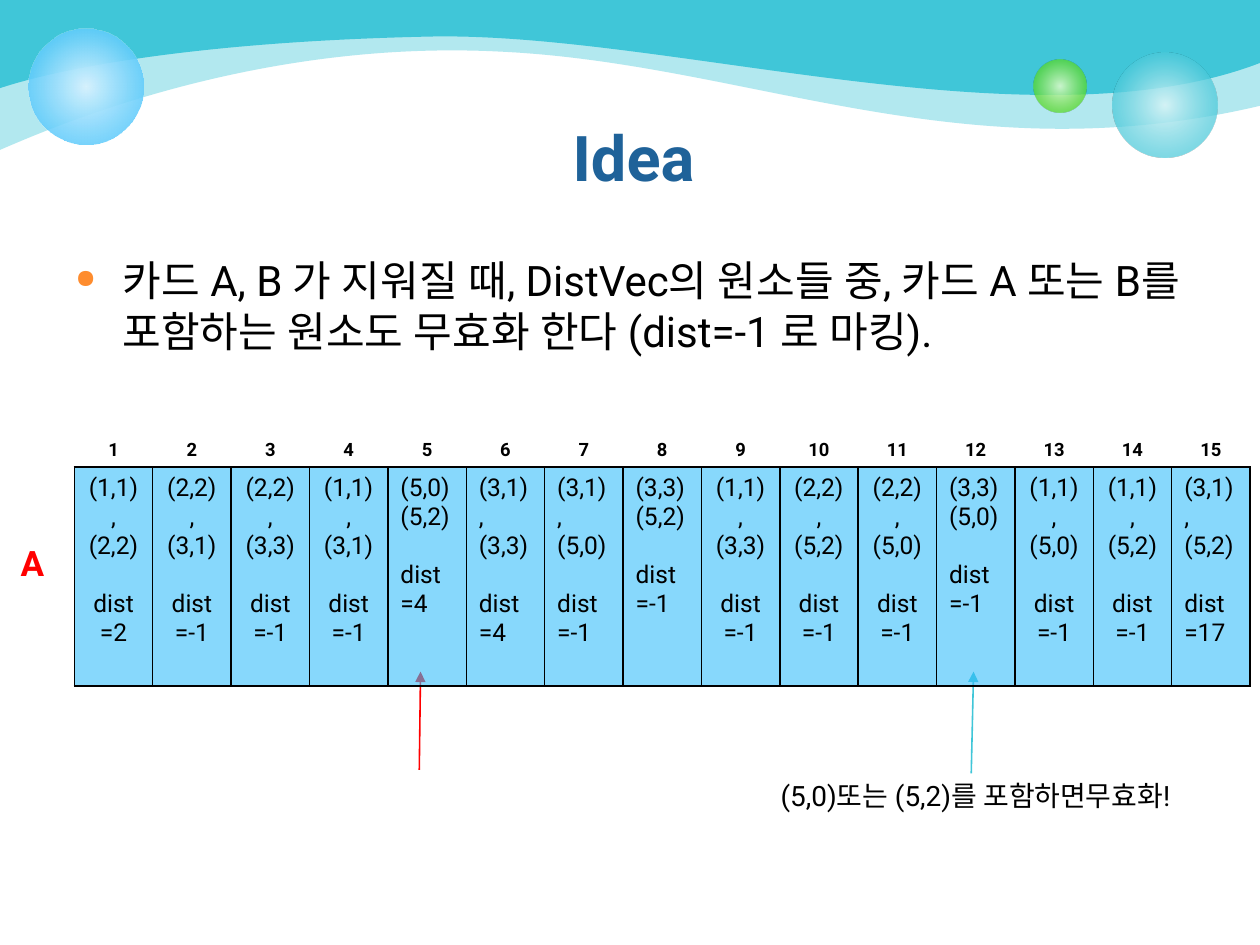
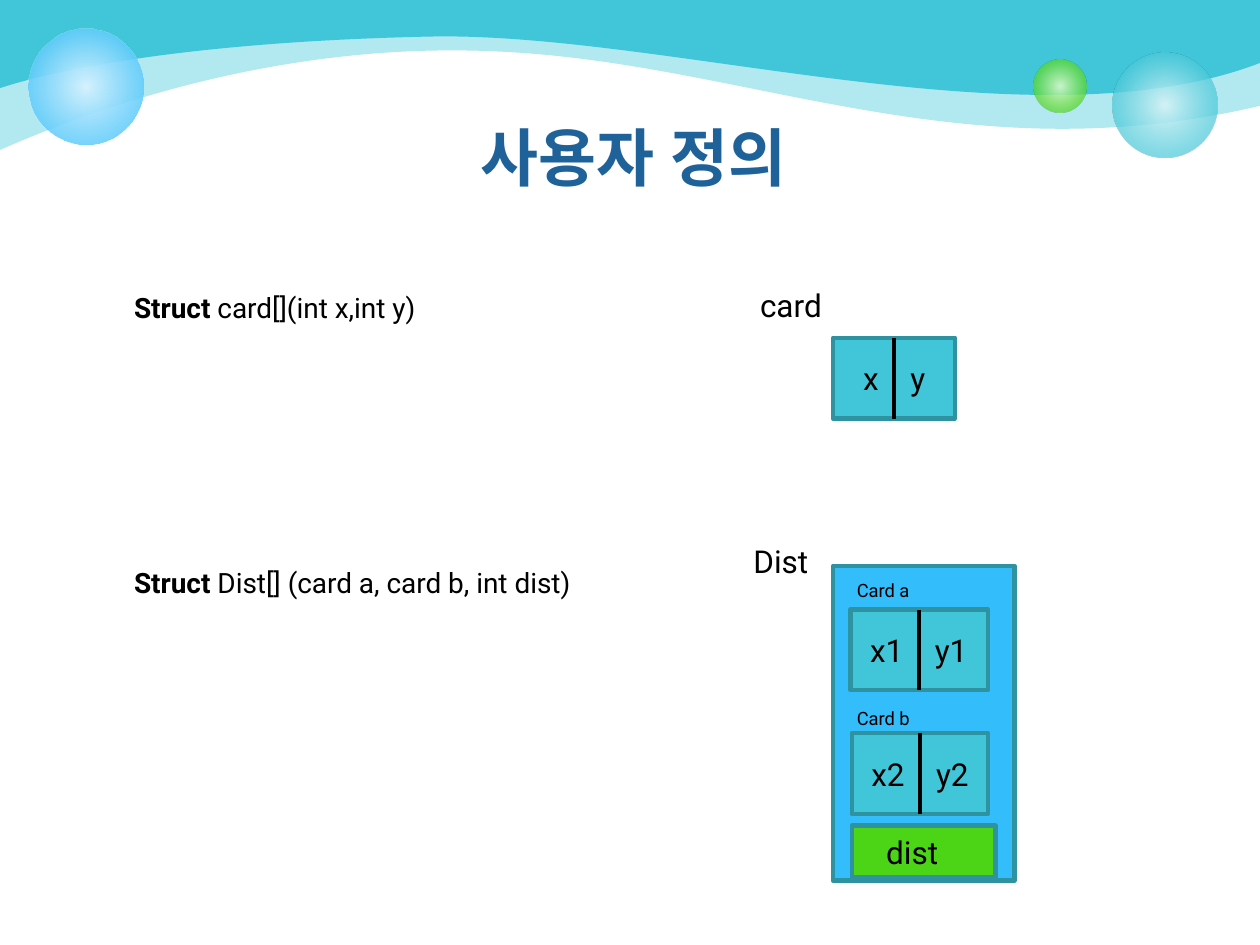
from dataclasses import dataclass
from typing import NamedTuple

from lxml import etree
from pptx import Presentation
from pptx.dml.color import RGBColor
from pptx.enum.shapes import MSO_CONNECTOR, MSO_SHAPE
from pptx.enum.text import MSO_ANCHOR, PP_ALIGN
from pptx.oxml import parse_xml
from pptx.oxml.ns import nsdecls, qn
from pptx.util import Pt

FONT = "Roboto"
BLACK = RGBColor(0x00, 0x00, 0x00)
WHITE = RGBColor(0xFF, 0xFF, 0xFF)
RED = RGBColor(0xFF, 0x00, 0x00)
NAVY = RGBColor(0x1F, 0x62, 0x99)
TEAL = RGBColor(0x40, 0xC6, 0xD8)
DARK_TEAL = RGBColor(0x2F, 0x92, 0xA0)
PALE_TEAL = RGBColor(0xD9, 0xF4, 0xF7)
SKY = RGBColor(0x33, 0xBD, 0xFB)
PALE_SKY = RGBColor(0xD6, 0xF2, 0xFE)
GREEN = RGBColor(0x4C, 0xD4, 0x16)
PALE_GREEN = RGBColor(0xDA, 0xFA, 0xCD)
ORANGE = RGBColor(0xFE, 0x8C, 0x2E)
CENTER, LEFT = PP_ALIGN.CENTER, PP_ALIGN.LEFT
TOP, MIDDLE, BOTTOM = MSO_ANCHOR.TOP, MSO_ANCHOR.MIDDLE, MSO_ANCHOR.BOTTOM
RECTANGLE, OVAL = MSO_SHAPE.RECTANGLE, MSO_SHAPE.OVAL
STRAIGHT = MSO_CONNECTOR.STRAIGHT
TITLE_ONLY = 5
INSET = 7.2

Point = tuple[float, float]


class Wave(NamedTuple):
    start: Point
    curve: list[Point]
    opacity: int


class Bubble(NamedTuple):
    left: float
    top: float
    size: float
    inner: RGBColor
    inner_opacity: int
    outer: RGBColor
    outer_opacity: int
    outer_stop: int


class Distance(NamedTuple):
    first: str
    second: str
    dist: int
    align: PP_ALIGN = CENTER


@dataclass
class Label:
    text: str
    left: float
    top: float
    width: float
    height: float
    size: float
    color: RGBColor = BLACK
    bold: bool = False
    align: PP_ALIGN = LEFT


@dataclass
class Card:
    x: str
    y: str
    left: float
    top: float
    width: float
    indent: float
    gap: float
    height: float = 46.2


WAVES = [
    Wave((0, 85.7), [(23.8, 75.6), (141.8, 22.3), (285.1, 29.5),
                     (428.4, 36), (548.6, 100.8), (720, 60.5)], 40),
    Wave((0, 50.4), [(32.4, 39.6), (110.2, 23.8), (245.5, 20.9),
                     (380.9, 18), (590.4, 85.7), (720, 36)], 100),
]
BUBBLES = [
    Bubble(635.8, 30.2, 60, PALE_TEAL, 90, TEAL, 70, 76),
    Bubble(590.4, 34, 30.4, PALE_GREEN, 90, GREEN, 70, 76),
    Bubble(16.3, 16.5, 65.8, PALE_SKY, 100, SKY, 80, 100),
]
DISTANCES = [
    Distance("(1,1),", "(2,2)", 2),
    Distance("(2,2),", "(3,1)", -1),
    Distance("(2,2),", "(3,3)", -1),
    Distance("(1,1),", "(3,1)", -1),
    Distance("(5,0)", "(5,2)", 4, LEFT),
    Distance("(3,1),", "(3,3)", 4, LEFT),
    Distance("(3,1),", "(5,0)", -1, LEFT),
    Distance("(3,3)", "(5,2)", -1, LEFT),
    Distance("(1,1),", "(3,3)", -1),
    Distance("(2,2),", "(5,2)", -1),
    Distance("(2,2),", "(5,0)", -1),
    Distance("(3,3)", "(5,0)", -1, LEFT),
    Distance("(1,1),", "(5,0)", -1),
    Distance("(1,1),", "(5,2)", -1),
    Distance("(3,1),", "(5,2)", 17, LEFT),
]


# Text and XML helpers
def set_font(paragraph, size: float, color: RGBColor = BLACK, bold: bool | None = False) -> None:
    font = paragraph.font
    font.name, font.size, font.bold = FONT, Pt(size), bold
    font.color.rgb = color
    latin = next(paragraph._p.pPr.iter(qn("a:latin")))
    latin.addnext(parse_xml(f'<a:ea {nsdecls("a")} typeface="{FONT}"/>'))


def add_paragraph_xml(paragraph, *parts: str) -> None:
    properties = paragraph._p.get_or_add_pPr()
    for position, part in enumerate(parts):
        properties.insert(position, parse_xml(part))


def set_opacity(element, percent: int) -> None:
    color = next(element.iter(qn("a:srgbClr")))
    etree.SubElement(color, qn("a:alpha")).set("val", str(percent * 1000))


def add_text_frame(slide, left: float, top: float, width: float, height: float):
    frame = slide.shapes.add_textbox(Pt(left), Pt(top), Pt(width), Pt(height)).text_frame
    frame.word_wrap = True
    return frame


def add_label(slide, label: Label) -> None:
    frame = add_text_frame(slide, label.left, label.top, label.width, label.height)
    paragraph = frame.paragraphs[0]
    paragraph.text, paragraph.alignment = label.text, label.align
    set_font(paragraph, label.size, label.color, label.bold)


# Shared shapes
def add_box(shapes, left: float, top: float, width: float, height: float, fill: RGBColor):
    box = shapes.add_shape(RECTANGLE, Pt(left), Pt(top), Pt(width), Pt(height))
    box.shadow.inherit = False
    box.fill.solid()
    box.fill.fore_color.rgb = fill
    box.line.color.rgb, box.line.width = DARK_TEAL, Pt(2.5)
    box.text_frame.vertical_anchor = MIDDLE
    return box


def add_line(shapes, start: Point, end: Point, color: RGBColor, width: float, arrow: bool = False) -> None:
    line = shapes.add_connector(STRAIGHT, *map(Pt, start + end))
    line.line.color.rgb, line.line.width = color, Pt(width)
    if arrow:
        etree.SubElement(line.line._get_or_add_ln(), qn("a:tailEnd")).set("type", "triangle")
    etree.SubElement(line.element.spPr, qn("a:effectLst"))


def bend_segments(shape, first: int, count: int) -> None:
    """Join each three straight segments into one cubic curve."""
    segments = list(shape.element.iter(qn("a:lnTo")))[first:first + count]
    for start in range(0, count, 3):
        curve = etree.Element(qn("a:cubicBezTo"))
        segments[start].addprevious(curve)
        for segment in segments[start:start + 3]:
            curve.append(segment[0])
            segment.getparent().remove(segment)


def add_wave(slide, wave: Wave):
    outline = [wave.start, *wave.curve, (720, 0)]
    builder = slide.shapes.build_freeform(0, 0)
    builder.add_line_segments([(Pt(x), Pt(y)) for x, y in outline], close=True)
    shape = builder.convert_to_shape()
    bend_segments(shape, 1, len(wave.curve))
    shape.shadow.inherit = False
    shape.fill.solid()
    shape.fill.fore_color.rgb = TEAL
    shape.line.fill.background()
    if wave.opacity < 100:
        set_opacity(shape.element.spPr, wave.opacity)
    return shape


def add_bubble(slide, bubble: Bubble):
    shape = slide.shapes.add_shape(OVAL, Pt(bubble.left), Pt(bubble.top), Pt(bubble.size), Pt(bubble.size))
    shape.shadow.inherit = False
    shape.line.fill.background()
    stops = "".join(
        f'<a:gs pos="{stop * 1000}"><a:srgbClr val="{color}">'
        f'<a:alpha val="{opacity * 1000}"/></a:srgbClr></a:gs>'
        for stop, color, opacity in ((0, bubble.inner, bubble.inner_opacity),
                                     (bubble.outer_stop, bubble.outer, bubble.outer_opacity)))
    shape.element.spPr.insert(2, parse_xml(
        f'<a:gradFill {nsdecls("a")} rotWithShape="1"><a:gsLst>{stops}</a:gsLst><a:path path="circle">'
        '<a:fillToRect l="50000" t="50000" r="50000" b="50000"/></a:path></a:gradFill>'))
    return shape


def decorate_master(prs, slide) -> None:
    """Draw the waves and bubbles, then hand them to the master."""
    decorations = [add_wave(slide, wave) for wave in WAVES]
    decorations += [add_bubble(slide, bubble) for bubble in BUBBLES]
    tree = prs.slide_master.shapes.element
    for index, decoration in enumerate(decorations):
        decoration.element.nvSpPr.cNvPr.set("id", str(100 + index))
        tree.insert(2 + index, decoration.element)


def add_titled_slide(prs, text: str):
    slide = prs.slides.add_slide(prs.slide_layouts[TITLE_ONLY])
    title = slide.shapes.title
    title.left, title.top, title.width, title.height = Pt(38), Pt(64), Pt(648), Pt(90)
    frame = title.text_frame
    frame.text, frame.vertical_anchor = text, TOP
    frame.paragraphs[0].alignment = CENTER
    set_font(frame.paragraphs[0], 36, NAVY, True)
    return slide


# Distance table
def style_cell(cell, fill: RGBColor, borders: dict[str, RGBColor], opacity: int = 100) -> None:
    cell.fill.solid()
    cell.fill.fore_color.rgb = fill
    properties = cell._tc.tcPr
    if opacity < 100:
        set_opacity(properties, opacity)
    for position, side in enumerate("LRTB"):
        properties.insert(position, parse_xml(
            f'<a:ln{side} {nsdecls("a")} w="12700"><a:solidFill>'
            f'<a:srgbClr val="{borders[side]}"/></a:solidFill></a:ln{side}>'))


def add_distance_table(slide) -> None:
    count = len(DISTANCES)
    table = slide.shapes.add_table(2, count, Pt(42.5), Pt(247), Pt(44.8 * count), Pt(145)).table
    table.first_row = table.horz_banding = False
    table.rows[0].height, table.rows[1].height = Pt(20), Pt(125)
    header_borders = dict.fromkeys("LRT", WHITE) | {"B": BLACK}
    for column, entry in enumerate(DISTANCES):
        table.columns[column].width = Pt(44.8)
        header, body = table.cell(0, column), table.cell(1, column)
        header.text, header.vertical_anchor = str(column + 1), BOTTOM
        header.text_frame.paragraphs[0].alignment = CENTER
        set_font(header.text_frame.paragraphs[0], 10.5, bold=True)
        style_cell(header, WHITE, header_borders)

        body.text = f"{entry.first}\n{entry.second}\ndist={entry.dist}"
        for paragraph in body.text_frame.paragraphs:
            paragraph.alignment = entry.align
            set_font(paragraph, 14)
        body.text_frame.paragraphs[-1].space_before = Pt(16.7)
        style_cell(body, SKY, dict.fromkeys("LRTB", BLACK), 59)


def fill_idea_slide(slide) -> None:
    rule = add_text_frame(slide, 36, 142, 664, 169).paragraphs[0]
    rule.text = ("카드 A, B 가 지워질 때, DistVec의 원소들 중, 카드 A 또는 B를 포함하는 "
                 "원소도 무효화 한다 (dist=-1 로 마킹).")
    add_paragraph_xml(
        rule,
        f'<a:buClr {nsdecls("a")}><a:srgbClr val="{ORANGE}"/></a:buClr>',
        f'<a:buSzPct {nsdecls("a")} val="62000"/>',
        f'<a:buChar {nsdecls("a")} char="●"/>')
    indent = Pt(27)
    rule._p.pPr.set("marL", str(indent))
    rule._p.pPr.set("indent", str(-indent))
    set_font(rule, 24)

    add_label(slide, Label("A", 4.7, 305.7, 31, 32, 20, RED, True))
    add_line(slide.shapes, (239.6, 440), (240.3, 383.8), RED, 0.9, arrow=True)
    add_line(slide.shapes, (555, 442), (556.3, 383.8), TEAL, 0.9, arrow=True)
    add_label(slide, Label("(5,0)또는 (5,2)를 포함하면무효화!", 428.4, 441.4, 258, 27, 16, align=CENTER))
    add_distance_table(slide)


# Struct diagrams
def add_card(slide, card: Card) -> None:
    shapes = slide.shapes.add_group_shape().shapes
    frame = add_box(shapes, card.left, card.top, card.width, card.height, TEAL).text_frame
    frame.margin_left, frame.margin_right = Pt(INSET + card.indent), Pt(0)
    fields = frame.paragraphs[0]
    fields.text, fields.alignment = f"{card.x}\t{card.y}", LEFT
    add_paragraph_xml(fields, f'<a:tabLst {nsdecls("a")}><a:tab pos="{Pt(card.gap)}" algn="l"/></a:tabLst>')
    set_font(fields, 18)
    middle = card.left + card.width / 2
    add_line(shapes, (middle, card.top), (middle, card.top + card.height), BLACK, 2.5)


def fill_struct_slide(slide) -> None:
    frame = add_text_frame(slide, 69.5, 162.5, 345, 190)
    definitions = ("card[](int x,int y)", "Dist[] (card a, card b, int dist)")
    for index, definition in enumerate(definitions):
        paragraph = frame.add_paragraph() if index else frame.paragraphs[0]
        keyword = paragraph.add_run()
        keyword.text, keyword.font.bold = "Struct ", True
        paragraph.add_run().text = definition
        set_font(paragraph, 16, bold=None)
    frame.paragraphs[1].space_before = Pt(137.8)

    add_label(slide, Label("card", 427.2, 160, 70.5, 29, 18))
    add_card(slide, Card("x", "y", 476, 193, 69.7, 10, 27))
    add_box(slide.shapes, 476, 323.3, 103.7, 180, SKY)
    add_card(slide, Card("x1", "y1", 486, 348.3, 78.5, 4, 37))
    add_label(slide, Label("Dist", 423.4, 306, 70.5, 29, 18))
    add_card(slide, Card("x2", "y2", 486.7, 419, 77.8, 4, 37))

    dist_frame = add_box(slide.shapes, 486.7, 471.8, 82.2, 29.5, GREEN).text_frame
    dist_frame.margin_right = Pt(INSET + 13)
    dist = dist_frame.paragraphs[0]
    dist.text, dist.alignment = "dist", CENTER
    set_font(dist, 18)
    for name, top in (("Card a", 327.6), ("Card b", 400.3)):
        add_label(slide, Label(name, 482.5, top, 70.5, 21, 10.5))


def main() -> None:
    prs = Presentation()
    prs.slide_width, prs.slide_height = Pt(720), Pt(540)
    idea = add_titled_slide(prs, "Idea")
    decorate_master(prs, idea)
    fill_idea_slide(idea)
    fill_struct_slide(add_titled_slide(prs, "사용자 정의"))
    prs.save("out.pptx")


if __name__ == "__main__":
    main()
